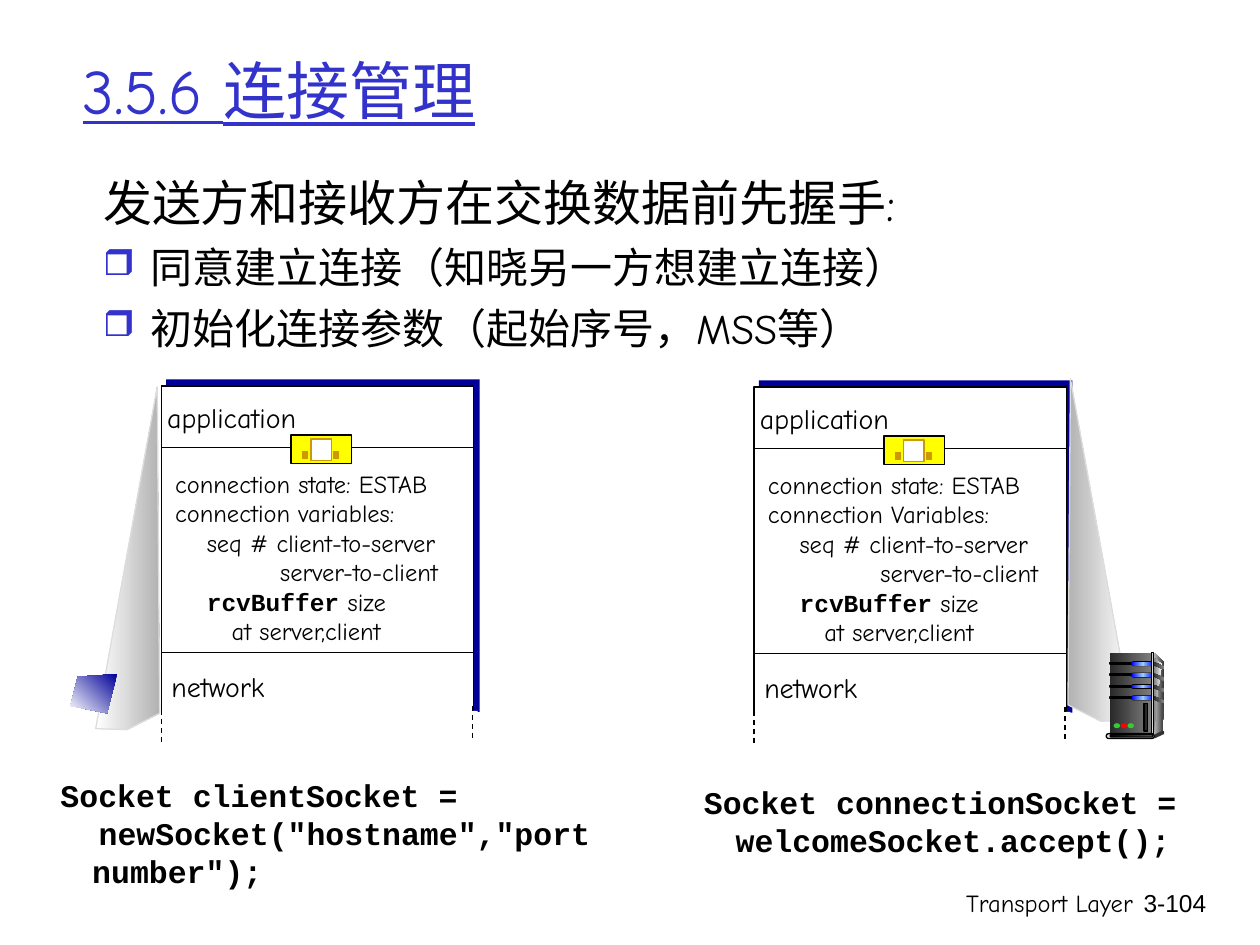
from lxml import etree
from pptx import Presentation
from pptx import util as u
from pptx.dml.color import RGBColor
from pptx.enum import dml, shapes, text
from pptx.oxml.ns import qn

COLORS = {
    "black": "000000", "white": "FFFFFF", "title": "3333CC", "navy": "000099",
    "yellow": "FFFF00", "ochre": "CC9900", "shade": "B2B2B2", "pale": "DDDDDD",
    "coal": "292929", "dark": "333333", "grey": "808080", "mist": "F8F8F8",
    "blue": "0000FF", "sky": "99CCFF", "green": "33CC33", "red": "FF0000",
}
SANS, MONO, ARIAL = "Comic Neue", "Courier New", "Arial"
RECT, PILL, OVAL = (shapes.MSO_SHAPE.RECTANGLE, shapes.MSO_SHAPE.ROUNDED_RECTANGLE,
                    shapes.MSO_SHAPE.OVAL)
STACK_W = 6.3


def rgb(name):
    return RGBColor.from_string(COLORS[name])


def paint(sp, fill, line=None, angle=0):
    """Fill with one colour name, or with a gradient over a tuple of names."""
    sp.shadow.inherit = False
    if isinstance(fill, str):
        sp.fill.solid()
        sp.fill.fore_color.rgb = rgb(fill)
    else:
        sp.fill.gradient()
        sp.fill.gradient_angle = angle
        stops = sp._element.spPr.find(qn("a:gradFill")).find(qn("a:gsLst"))
        for gs in list(stops):
            stops.remove(gs)
        for i, name in enumerate(fill):
            gs = etree.SubElement(stops, qn("a:gs"), pos=str(i * 100000 // (len(fill) - 1)))
            etree.SubElement(gs, qn("a:srgbClr"), val=COLORS[name])
    if line:
        sp.line.color.rgb = rgb(line)
        sp.line.width = u.Pt(0.75)
    else:
        sp.line.fill.background()


def add_block(parent, x, y, w, h, fill, line=None, kind=RECT):
    sp = parent.shapes.add_shape(kind, u.Cm(x), u.Cm(y), u.Cm(w), u.Cm(h))
    if kind == PILL:
        sp.adjustments[0] = 0.5
    paint(sp, fill, line)


def add_polygon(parent, x, y, points, fill, line=None, angle=0):
    pts = [(u.Cm(x + px), u.Cm(y + py)) for px, py in points]
    builder = parent.shapes.build_freeform(*pts[0])
    builder.add_line_segments(pts[1:], close=True)
    paint(builder.convert_to_shape(), fill, line, angle)


def add_line(s, x1, y1, x2, y2, dashed=False):
    c = s.shapes.add_connector(shapes.MSO_CONNECTOR.STRAIGHT,
                               u.Cm(x1), u.Cm(y1), u.Cm(x2), u.Cm(y2))
    c.line.color.rgb = rgb("black")
    c.line.width = u.Pt(0.75)
    if dashed:
        c.line.dash_style = dml.MSO_LINE.DASH
    etree.SubElement(c._element.spPr, qn("a:effectLst"))


def style(r, size, font=SANS, color="black", bold=False):
    r.font.size = u.Pt(size)
    r.font.name = font
    r.font.color.rgb = rgb(color)
    r.font.bold = bold


def set_indent(p, left, first=0):
    pPr = p._p.get_or_add_pPr()
    pPr.set("marL", str(u.Cm(left)))
    pPr.set("indent", str(u.Cm(first)))


def add_text(s, x, y, w, h, lines, size, align=None, wrap=True, **font):
    tf = s.shapes.add_textbox(u.Cm(x), u.Cm(y), u.Cm(w), u.Cm(h)).text_frame
    tf.word_wrap = wrap
    tf.text = "\n".join(lines)
    for p in tf.paragraphs:
        p.alignment = align
        for r in p.runs:
            style(r, size, **font)
    return tf


def title(s, x, y, w, h):
    tf = add_text(s, x, y, w, h, ["3.5.6 连接管理"], 36, color="title")
    tf.vertical_anchor = text.MSO_ANCHOR.MIDDLE
    tf.paragraphs[0].runs[0].font.underline = True


def body(s, x, y, w, h):
    tf = add_text(s, x, y, w, h, ["发送方和接收方在交换数据前先握手:",
                                  "同意建立连接（知晓另一方想建立连接）",
                                  "初始化连接参数（起始序号，MSS等）"], 24)
    for p in tf.paragraphs:
        set_indent(p, 0.95, -0.95)
        p.space_before = u.Pt(6)
    lead, *items = tf.paragraphs
    lead.space_before = u.Pt(7)
    lead.runs[0].font.size = u.Pt(28)
    for p in items:
        pPr = p._p.get_or_add_pPr()
        clr = etree.SubElement(pPr, qn("a:buClr"))
        etree.SubElement(clr, qn("a:srgbClr"), val=COLORS["title"])
        etree.SubElement(pPr, qn("a:buSzPct"), val="85000")
        etree.SubElement(pPr, qn("a:buChar"), char="❒")


def socket_icon(s, x, y):
    g = s.shapes.add_group_shape()
    add_block(g, x, y, 1.22, 0.58, "yellow", "black")
    add_block(g, x + 0.4, y + 0.08, 0.41, 0.43, "white", "ochre")
    for dx in (0.23, 0.86):
        add_block(g, x + dx, y + 0.33, 0.1, 0.15, "ochre", "ochre")


def connection_state(s, x, y, variables, reply_indent):
    tf = add_text(s, x, y, 6.48, 4.42,
                  ["connection state: ESTAB", variables, "seq # client-to-server",
                   "server-to-client", "rcvBuffer", "at server,client"], 14)
    for p, left in zip(tf.paragraphs, (0, 0, 0.64, reply_indent, 0.64, 1.14)):
        set_indent(p, left)
    p = tf.paragraphs[4]
    style(p.runs[0], 14, MONO, bold=True)
    r = p.add_run()
    r.text = " size"
    style(r, 14)


def protocol_stack(s, x, y, variables, reply_indent, mirrored=False):
    """Layered host with a wedge on its outer side."""
    add_block(s, x + 0.1, y - 0.13, 6.32, 6.7, "navy")
    add_block(s, x, y, STACK_W, 6.86, "white", "black")
    for dy in (1.24, 5.38):
        add_line(s, x, y + dy, x + STACK_W, y + dy)
    connection_state(s, x + 0.03, y + 1.55, variables, reply_indent)
    socket_icon(s, x + 2.62, y + 0.99)
    for label, dx, dy, w in (("application", -0.13, 0.18, 3.1), ("network", -0.05, 5.59, 2.39)):
        add_text(s, x + dx, y + dy, w, 0.94, [label], 16, text.PP_ALIGN.CENTER, wrap=False)
    add_block(s, x - 0.1, y + 6.55, 6.48, 0.51, "white")
    for dx, dy in ((0, 6.53), (6.27, 6.45)):
        add_line(s, x + dx, y + dy, x + dx, y + dy + 0.66, dashed=True)
    wedge = [(-1.32, 6.91), (-0.08, 0.02), (-0.03, 6.6), (-0.69, 6.93)]
    fill = ("white", "shade")
    if mirrored:
        wedge = [(STACK_W - px, py - 0.19) for px, py in wedge]
        fill = ("shade", "white")
    add_polygon(s, x, y, wedge, fill, "pale")


def server(s, x, y):
    g = s.shapes.add_group_shape()
    add_polygon(g, x, y, [(0.97, 0), (1.17, 0.2), (1.14, 1.6), (0.91, 1.65)], ("pale", "dark"))
    add_block(g, x + 0.08, y, 0.86, 1.65, ("coal", "grey"))
    add_polygon(g, x, y, [(0.97, 0.1), (1.12, 0.23), (1, 1.1), (0.97, 1.63)], ("grey", "mist"))
    for i in range(4):
        top = y + 0.2 + 0.23 * i
        add_block(g, x + 0.08, top, 0.48, 0.03, "black", "black")
        add_block(g, x + 0.5, top - 0.03, 0.48, 0.1, "black", kind=PILL)
        add_block(g, x + 0.51, top - 0.02, 0.46, 0.08, ("blue", "sky", "blue"), kind=PILL)
        add_polygon(g, x, top, [(0.95, -0.02), (1.16, 0.07), (1.16, 0.13), (0.95, 0.05)],
                    ("coal", "grey"))
    add_block(g, x + 0.91, y, 0.05, 1.65, ("dark", "pale", "dark"), "black")
    add_block(g, x + 1.12, y + 1.57, 0.05, 0.08, "dark", kind=OVAL)
    add_polygon(g, x, y, [(0.97, 1.65), (0.97, 1.73), (1.14, 1.65), (1.14, 1.57)], "dark")
    add_block(g, x, y + 1.63, 0.97, 0.1, "pale", "black", PILL)
    add_block(g, x + 0.08, y + 1.65, 0.86, 0.05, ("black", "grey"), "black", PILL)
    for i, lamp in enumerate(("green", "red", "green")):
        add_block(g, x + 0.15 + 0.14 * i, y + 1.42, 0.13, 0.1, lamp, kind=OVAL)
    add_block(g, x + 0.76, y + 1.02, 0.08, 0.56, "coal", "black")


def code(s, x, y, w, h, lines):
    tf = add_text(s, x, y, w, h, lines, 18, font=MONO, bold=True)
    for p, first in zip(tf.paragraphs, (-0.64, 0.13)):
        set_indent(p, 0.64, first)


def footer(s, x, y):
    add_text(s, x, y, 8.05, 1.27, ["Transport Layer"], 14, text.PP_ALIGN.RIGHT)
    add_text(s, x + 7.65, y, 1.88, 1.27, ["3-104"], 14, text.PP_ALIGN.RIGHT, font=ARIAL)


def main():
    prs = Presentation()
    prs.slide_width, prs.slide_height = u.Cm(25.4), u.Cm(19.05)
    s = prs.slides.add_slide(prs.slide_layouts[6])
    footer(s, 15.04, 17.78)
    title(s, 1.42, 0.53, 21.59, 2.54)
    body(s, 1.83, 3.35, 23.16, 5.72)
    protocol_stack(s, 3.25, 7.78, "connection variables:", 2.12)
    protocol_stack(s, 15.2, 7.8, "connection Variables:", 2.27, mirrored=True)
    code(s, 0.97, 15.52, 11.68, 2.54,
         ["Socket clientSocket =", 'newSocket("hostname","port number");'])
    code(s, 13.94, 15.67, 10.97, 1.78, ["Socket connectionSocket = welcomeSocket.accept();"])
    client_screen = [(0.94, 0), (0.15, 0.05), (0, 0.64), (0.74, 0.79)]
    add_polygon(s, 1.42, 13.59, client_screen, ("navy", "white"), angle=225)
    server(s, 22.3, 13.16)
    prs.save("out.pptx")


if __name__ == "__main__":
    main()
